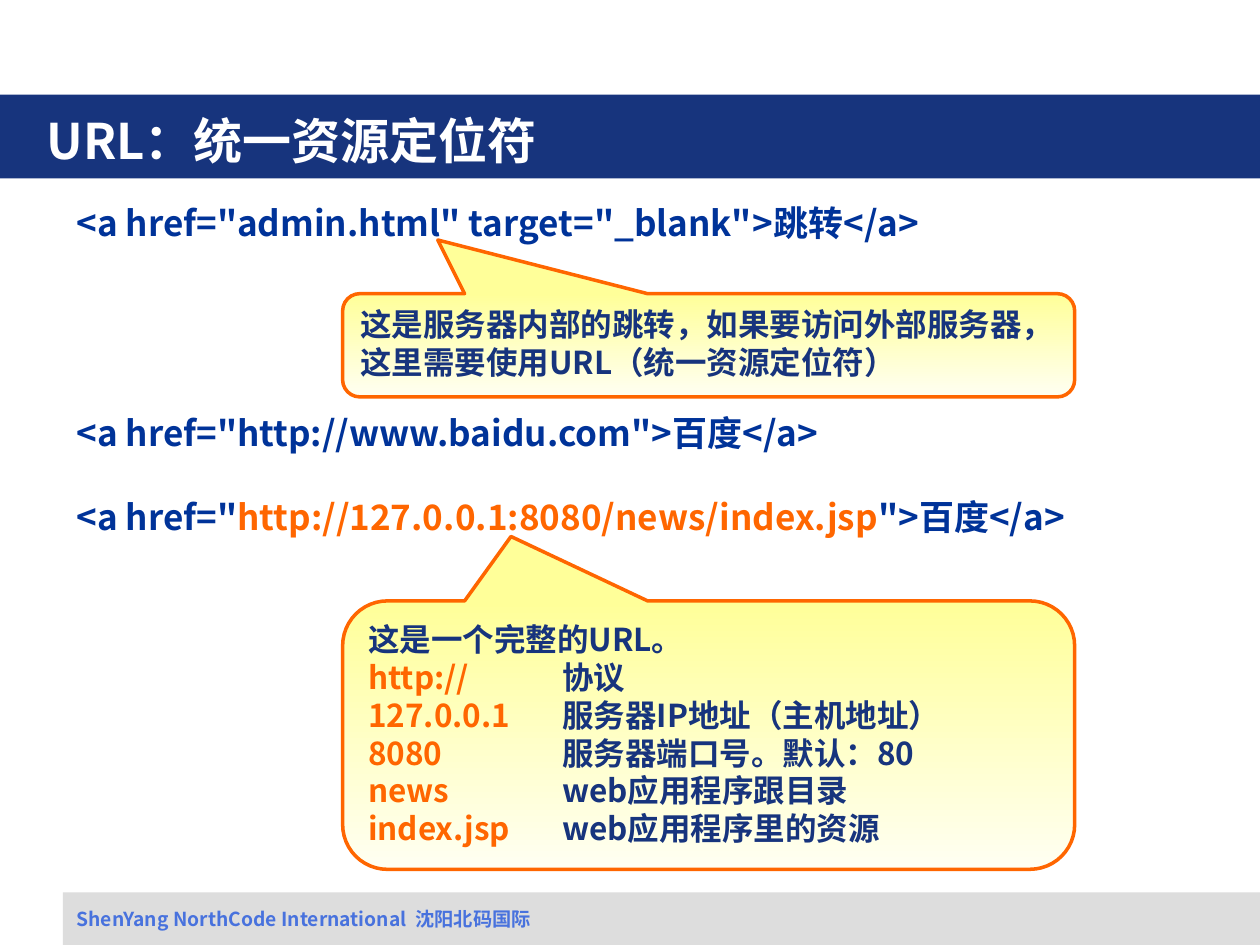
from lxml.etree import SubElement
from pptx import Presentation
from pptx.dml.color import RGBColor as Color
from pptx.enum.shapes import MSO_SHAPE as Shape
from pptx.enum.text import MSO_ANCHOR as Anchor, PP_ALIGN as Align
from pptx.oxml.ns import qn
from pptx.util import Pt

COLORS = {
    "navy": "17347D",
    "code": "003399",
    "orange": "FF6600",
    "footer": "4872DD",
    "grey": "DDDDDD",
    "yellow": "FFFF99",
    "cream": "FFFFF2",
    "white": "FFFFFF",
}


def color(name):
    return Color.from_string(COLORS[name])


class SlideBuilder:
    font = "Noto Sans CJK SC"
    leading = 1.2

    def __init__(self, slide):
        self.slide = slide

    def fill_text(self, frame, lines, size, ink, gaps=(), tab=None):
        frame.word_wrap = True
        for index, spans in enumerate(lines):
            para = frame.paragraphs[0] if index == 0 else frame.add_paragraph()
            para.alignment = Align.LEFT
            para.line_spacing = Pt(size * self.leading)
            para.space_before = Pt(gaps[index] if gaps else 0)
            if tab:
                stops = SubElement(para._p.get_or_add_pPr(), qn("a:tabLst"))
                SubElement(stops, qn("a:tab"), pos=str(Pt(tab)), algn="l")
            para.font.size = Pt(size)
            para.font.bold = True
            para.font.color.rgb = color(ink)
            para.font.name = self.font
            defaults = para._p.pPr.find(qn("a:defRPr"))
            SubElement(defaults, qn("a:ea"), typeface=self.font)
            for text, accent in spans:
                span = para.add_run()
                span.text = text
                if accent:
                    span.font.color.rgb = color(accent)

    def band(self, left, top, width, height, fill):
        box = self.slide.shapes.add_shape(
            Shape.RECTANGLE, Pt(left), Pt(top), Pt(width), Pt(height))
        box.shadow.inherit = False
        box.fill.solid()
        box.fill.fore_color.rgb = color(fill)
        box.line.fill.background()

    def title(self, left, top, width, height, text):
        title = self.slide.shapes.title
        title.left, title.top = Pt(left), Pt(top)
        title.width, title.height = Pt(width), Pt(height)
        title.text_frame.vertical_anchor = Anchor.MIDDLE
        self.fill_text(title.text_frame, [[(text, None)]], 28, "white")
        title.element.getparent().append(title.element)

    def text(self, left, top, width, height, lines, size, ink, gaps=(), tab=None):
        box = self.slide.shapes.add_textbox(
            Pt(left), Pt(top), Pt(width), Pt(height))
        self.fill_text(box.text_frame, lines, size, ink, gaps, tab)

    def callout(self, top, height, tail, lines, tab=None):
        box = self.slide.shapes.add_shape(
            Shape.ROUNDED_RECTANGULAR_CALLOUT,
            Pt(195.8), Pt(top), Pt(418.3), Pt(height))
        box.shadow.inherit = False
        box.adjustments[0], box.adjustments[1] = tail
        box.fill.gradient()
        box.fill.gradient_angle = 270
        for stop, name, position in zip(
                box.fill.gradient_stops, ("yellow", "cream"), (0, 1)):
            stop.color.rgb = color(name)
            stop.position = position
        box.line.color.rgb = color("orange")
        box.line.width = Pt(2)
        box.text_frame.vertical_anchor = Anchor.TOP
        self.fill_text(box.text_frame, lines, 18, "navy", tab=tab)


def main():
    deck = Presentation()
    deck.slide_width, deck.slide_height = Pt(720), Pt(540)
    page = SlideBuilder(deck.slides.add_slide(deck.slide_layouts[5]))

    page.band(36, 510, 684, 30, "grey")
    page.band(0, 54, 720, 48, "navy")
    page.title(19.4, 57.6, 594.7, 44.6, "URL：统一资源定位符")
    page.text(36.7, 514.8, 657.4, 20.9,
              [[("ShenYang NorthCode International\t沈阳北码国际", None)]],
              11, "footer", tab=193.5)

    links = [
        [('<a href="admin.html" target="_blank">跳转</a>', None)],
        [('<a href="http://www.baidu.com">百度</a>', None)],
        [('<a href="', None),
         ("http://127.0.0.1:8080/news/index.jsp", "orange"),
         ('">百度</a>', None)],
    ]
    page.text(36.7, 111.6, 668.9, 199.4, links, 20, "code", gaps=(0, 96, 24))

    page.callout(167.8, 59, (-0.37, -1.02), [[(
        "这是服务器内部的跳转，如果要访问外部服务器，"
        "这里需要使用URL（统一资源定位符）", None)]])

    url_parts = [
        ("http://", "协议"),
        ("127.0.0.1", "服务器IP地址（主机地址）"),
        ("8080", "服务器端口号。默认：80"),
        ("news", "web应用程序跟目录"),
        ("index.jsp", "web应用程序里的资源"),
    ]
    rows = [[(part, "orange"), ("\t" + meaning, None)]
            for part, meaning in url_parts]
    page.callout(343.4, 153.4, (-0.27, -0.74),
                 [[("这是一个完整的URL。", None)]] + rows, tab=111)

    deck.save("out.pptx")


if __name__ == "__main__":
    main()
